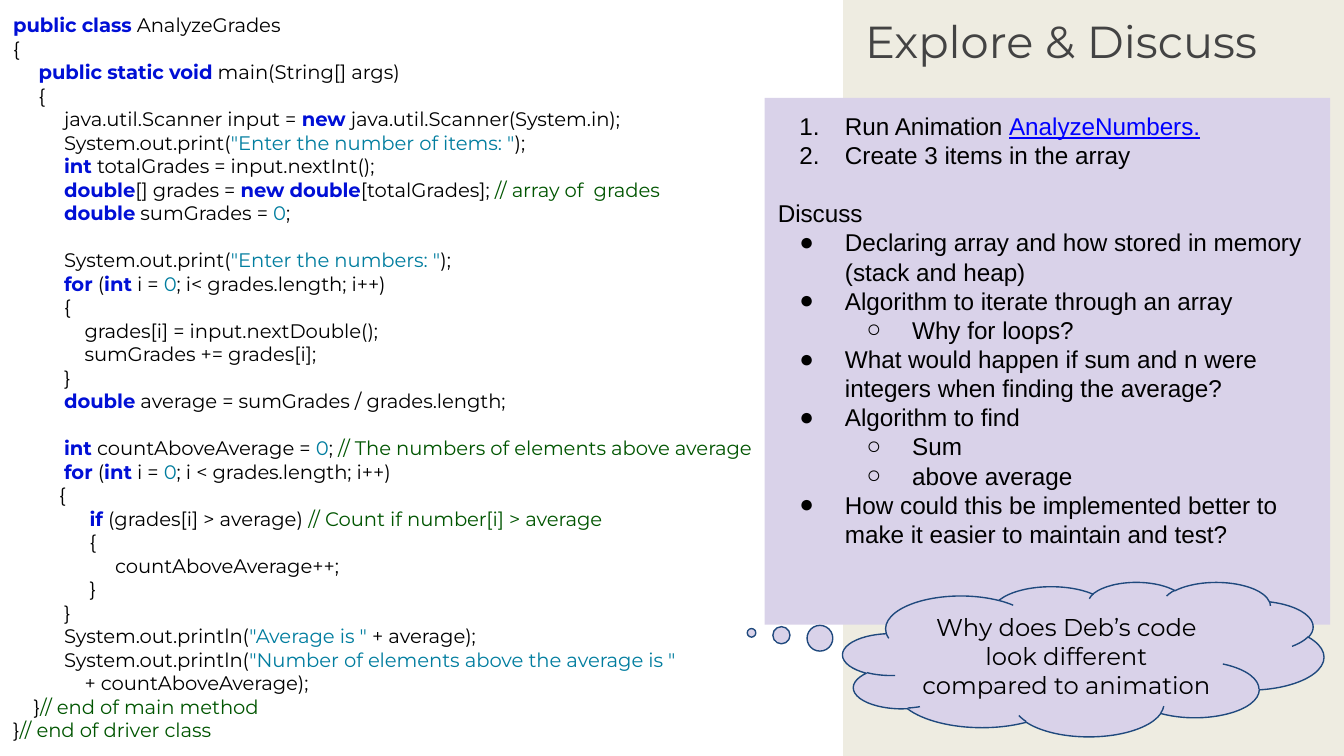
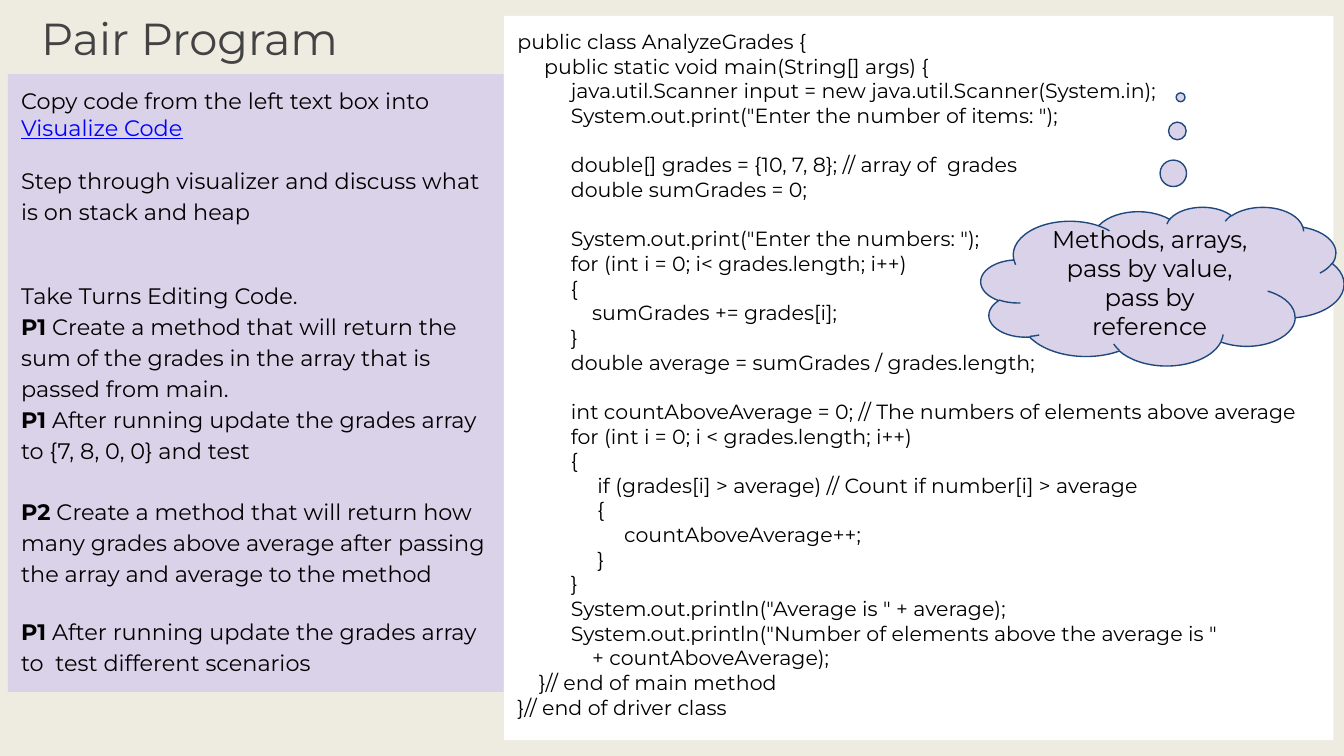
from itertools import groupby

from lxml import etree
from pptx import Presentation
from pptx.dml.color import RGBColor
from pptx.enum.shapes import MSO_SHAPE
from pptx.enum.text import MSO_ANCHOR, PP_ALIGN
from pptx.oxml.ns import qn
from pptx.util import Cm, Pt

RECTANGLE, CLOUD = MSO_SHAPE.RECTANGLE, MSO_SHAPE.CLOUD_CALLOUT
TOP, MIDDLE = MSO_ANCHOR.TOP, MSO_ANCHOR.MIDDLE
LEFT, CENTER = PP_ALIGN.LEFT, PP_ALIGN.CENTER

COLORS = {
    "background": "EEECE1",
    "title": "434343",
    "code_panel": "FFFFFF",
    "task_panel": "D9D2E9",
    "outline": "1F497D",
    "text": "000000",
    "link": "0000FF",
    "keyword": "000FD6",
    "literal": "007D9F",
    "comment": "005500",
}
CODE_FONT, LIST_FONT = "Montserrat", "Arial"
LINE_HEIGHT = 1.2
SPACE_WIDTH = 0.26
KEYWORDS = {"public", "class", "static", "void", "new", "int", "double", "for", "if"}

# Each code line: leading spaces, text, and True when a gap precedes it.
AVERAGE_CODE = [
    (10, "double average = sumGrades / grades.length;", False),
    (10, "int countAboveAverage = 0; // The numbers of elements above average", True),
    (10, "for (int i = 0; i < grades.length; i++)", False),
]
REPORT_CODE = [
    (15, "if (grades[i] > average) // Count if number[i] > average", False),
    (15, "{", False),
    (20, "countAboveAverage++;", False),
    (15, "}", False),
    (10, "}", False),
    (10, 'System.out.println("Average is " + average);', False),
    (10, 'System.out.println("Number of elements above the average is "', False),
    (14, "+ countAboveAverage);", False),
    (4, "}// end of main method", False),
    (0, "}// end of driver class", False),
]
INPUT_CODE = [
    (10, "java.util.Scanner input = new java.util.Scanner(System.in);", False),
    (10, 'System.out.print("Enter the number of items: ");', False),
]
LOOP_CODE = [
    (10, 'System.out.print("Enter the numbers: ");', True),
    (10, "for (int i = 0; i< grades.length; i++)", False),
    (10, "{", False),
]
SUM_CODE = [
    (14, "sumGrades += grades[i];", False),
    (10, "}", False),
]
EXPLORE_CODE = [
    (0, "public class AnalyzeGrades", False),
    (0, "{", False),
    (5, "public static void main(String[] args)", False),
    (5, "{", False),
    *INPUT_CODE,
    (10, "int totalGrades = input.nextInt();", False),
    (10, "double[] grades = new double[totalGrades]; // array of  grades", False),
    (10, "double sumGrades = 0;", False),
    *LOOP_CODE,
    (14, "grades[i] = input.nextDouble();", False),
    *SUM_CODE,
    *AVERAGE_CODE,
    (9, "{", False),
    *REPORT_CODE,
]
PAIR_CODE = [
    (0, "public class AnalyzeGrades {", False),
    (5, "public static void main(String[] args) {", False),
    *INPUT_CODE,
    (10, "double[] grades = {10, 7, 8}; // array of  grades", True),
    (10, "double sumGrades = 0;", False),
    *LOOP_CODE,
    *SUM_CODE,
    *AVERAGE_CODE,
    (10, "{", False),
    *REPORT_CODE,
]

DISCUSSION = [
    ("1.", 0, [("Run Animation ", "text"), ("AnalyzeNumbers.", "link")]),
    ("1.", 0, [("Create 3 items in the array", "text")]),
    ("", 0, [("Discuss", "text")]),
    ("●", 0, [("Declaring array and how stored in memory (stack and heap)", "text")]),
    ("●", 0, [("Algorithm to iterate through an array", "text")]),
    ("○", 1, [("Why for loops?", "text")]),
    ("●", 0, [("What would happen if sum and n were integers when finding the average?", "text")]),
    ("●", 0, [("Algorithm to find", "text")]),
    ("○", 1, [("Sum", "text")]),
    ("○", 1, [("above average", "text")]),
    ("●", 0, [("How could this be implemented better to make it easier to maintain and test?", "text")]),
]

# Each task: space before in points, line spacing, runs.
PAIR_TASKS = [
    (0, 1.0, [("Copy code from the left text box into ", "text"), ("Visualize Code", "link")]),
    (12, 1.15, [("Step through visualizer and discuss what is on stack and heap", "text")]),
    (28.5, 1.15, [("Take Turns Editing Code.", "text")]),
    (0, 1.15, [("P1", "strong"), (" Create a method that will return the sum of the grades "
                                  "in the array that is passed from main.", "text")]),
    (0, 1.15, [("P1", "strong"), (" After running update the grades array to {7, 8, 0, 0} and test", "text")]),
    (16.5, 1.15, [("P2", "strong"), (" Create a method that will return how many grades above average "
                                     "after passing the array and average to the method", "text")]),
    (14.4, 1.15, [("P1", "strong"), (" After running update the grades array to  test different scenarios", "text")]),
]

SLIDES = [
    {
        "title": ("Explore & Discuss", (16.1, 0.13, 8.92, 1.6)),
        "code": (EXPLORE_CODE, 10.5, True, (0, 0, 15.93, 14.29)),
        "discussion": (DISCUSSION, (14.45, 1.85, 10.69, 9.96)),
        "question": ("Why does Deb’s code look different compared to animation",
                     (15.93, 11, 9.09, 2.92), (-0.69, -0.17)),
    },
    {
        "title": ("Pair Program", (0.53, 0.08, 8, 1.6)),
        "code": (PAIR_CODE, 11, False, (9.53, 0.3, 15.67, 13.69)),
        "tasks": (PAIR_TASKS, (0.15, 1.4, 9.37, 11.68)),
        "question": ("Methods, arrays, pass by value, pass by reference",
                     (18.54, 3.91, 6.86, 3), (0.05, -1.19)),
    },
]


def rgb(name):
    return RGBColor.from_string(COLORS[name])


def word_styles(text):
    for is_word, letters in groupby(text, str.isalnum):
        word = "".join(letters)
        if word in KEYWORDS:
            yield word, "keyword"
        elif is_word and word.isdigit():
            yield word, "literal"
        else:
            yield word, "text"


def highlight(line):
    statement, slashes, remark = line.partition("//")
    runs = []
    for position, part in enumerate(statement.split('"')):
        if position % 2:
            runs.append((f'"{part}"', "literal"))
        else:
            runs.extend(word_styles(part))
    if slashes:
        runs.append((slashes + remark, "comment"))
    return [("".join(text for text, _ in group), style)
            for style, group in groupby(runs, lambda run: run[1])]


def add_bullet(properties, bullet):
    color = etree.SubElement(properties, qn("a:buClr"))
    etree.SubElement(color, qn("a:srgbClr"), val=COLORS["text"])
    etree.SubElement(properties, qn("a:buFont"), typeface=LIST_FONT)
    if bullet == "1.":
        etree.SubElement(properties, qn("a:buAutoNum"), type="arabicPeriod")
    else:
        etree.SubElement(properties, qn("a:buChar"), char=bullet)


def add_text(frame, runs, first=False, size=13, font=CODE_FONT, align=LEFT, before=0,
             spacing=1.0, margin=0, hang=0, level=0, bullet=""):
    paragraph = frame.paragraphs[0] if first else frame.add_paragraph()
    paragraph.alignment = align
    paragraph.level = level
    paragraph.line_spacing = spacing
    paragraph.space_before = Pt(before)
    properties = paragraph._p.get_or_add_pPr()
    properties.set("marL", str(int(margin)))
    properties.set("indent", str(-int(hang)))
    if bullet:
        add_bullet(properties, bullet)
    for text, style in runs:
        run = paragraph.add_run()
        run.text = text
        run.font.name = font
        run.font.size = Pt(size)
        run.font.bold = style in ("keyword", "strong")
        run.font.underline = style == "link"
        run.font.color.rgb = rgb("text" if style == "strong" else style)


def prepare_frame(shape, anchor=TOP, vertical_inset=0.25):
    frame = shape.text_frame
    frame.word_wrap = True
    frame.vertical_anchor = anchor
    frame.margin_left = frame.margin_right = Cm(0.25)
    frame.margin_top = frame.margin_bottom = Cm(vertical_inset)
    return frame


def add_panel(slide, kind, box, fill, anchor=TOP):
    panel = slide.shapes.add_shape(kind, *map(Cm, box))
    panel.shadow.inherit = False
    panel.fill.solid()
    panel.fill.fore_color.rgb = rgb(fill)
    panel.line.fill.background()
    return panel, prepare_frame(panel, anchor)


def add_title(slide, title, box):
    frame = prepare_frame(slide.shapes.add_textbox(*map(Cm, box)), vertical_inset=0.13)
    add_text(frame, [(title, "title")], first=True, size=24)


def add_code(slide, lines, size, colored, box):
    _, frame = add_panel(slide, RECTANGLE, box, "code_panel")
    for number, (spaces, line, gap) in enumerate(lines):
        add_text(frame, highlight(line) if colored else [(line, "text")],
                 first=number == 0, size=size,
                 margin=Pt(spaces * SPACE_WIDTH * size),
                 before=LINE_HEIGHT * size if gap else 0)


def add_discussion(slide, items, box):
    _, frame = add_panel(slide, RECTANGLE, box, "task_panel")
    for number, (bullet, level, runs) in enumerate(items):
        add_text(frame, runs, first=number == 0, font=LIST_FONT, level=level, bullet=bullet,
                 margin=Cm(1.27 * (level + 1)) if bullet else 0,
                 hang=Cm(0.86) if bullet else 0,
                 before=0 if bullet else LINE_HEIGHT * 13)


def add_tasks(slide, tasks, box):
    _, frame = add_panel(slide, RECTANGLE, box, "task_panel")
    for number, (before, spacing, runs) in enumerate(tasks):
        add_text(frame, runs, first=number == 0, size=12, before=before, spacing=spacing)


def add_question(slide, question, box, tail):
    cloud, frame = add_panel(slide, CLOUD, box, "task_panel", MIDDLE)
    cloud.adjustments[0], cloud.adjustments[1] = tail
    cloud.line.color.rgb = rgb("outline")
    cloud.line.width = Pt(0.75)
    add_text(frame, [(question, "text")], first=True, align=CENTER)


BUILDERS = {
    "title": add_title,
    "code": add_code,
    "discussion": add_discussion,
    "tasks": add_tasks,
    "question": add_question,
}


def main():
    deck = Presentation()
    deck.slide_width, deck.slide_height = Cm(25.4), Cm(14.29)
    for content in SLIDES:
        slide = deck.slides.add_slide(deck.slide_layouts[6])
        slide.background.fill.solid()
        slide.background.fill.fore_color.rgb = rgb("background")
        for part, details in content.items():
            BUILDERS[part](slide, *details)
    deck.save("out.pptx")


if __name__ == "__main__":
    main()
